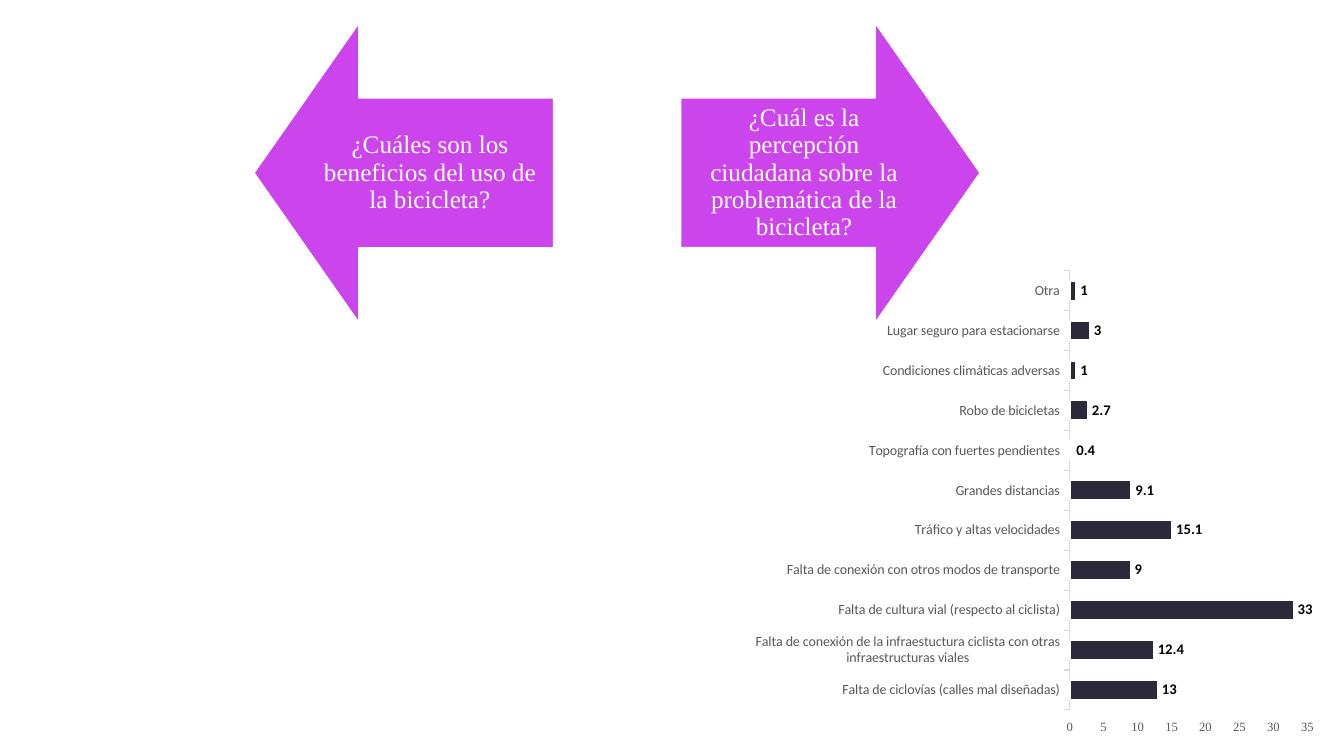
from collections import namedtuple
from dataclasses import dataclass

from lxml import etree
from pptx import Presentation
from pptx import util as u
from pptx.chart import data as chart_data
from pptx.dml import color
from pptx.enum import chart as chart_enum, shapes, text

Box = namedtuple("Box", "left top width height")


@dataclass(frozen=True)
class Theme:
    arrow: str = "CC44EC"
    bar: str = "2B293A"
    paper: str = "FFFFFF"
    ink: str = "000000"
    muted: str = "595959"
    rule: str = "D9D9D9"
    serif: str = "Times New Roman"
    sans: str = "Calibri"
    question_size: float = 18
    chart_size: float = 10
    value_size: float = 9
    label_size: float = 10.5


THEME = Theme()

PROBLEMS = {
    "Falta de ciclovías (calles mal diseñadas)": 13,
    "Falta de conexión de la infraestuctura ciclista con otras infraestructuras viales": 12.4,
    "Falta de cultura vial (respecto al ciclista)": 33,
    "Falta de conexión con otros modos de transporte": 9,
    "Tráfico y altas velocidades": 15.1,
    "Grandes distancias": 9.1,
    "Topografía con fuertes pendientes": 0.4,
    "Robo de bicicletas": 2.7,
    "Condiciones climáticas adversas": 1,
    "Lugar seguro para estacionarse": 3,
    "Otra": 1,
}


def inches(box):
    return [u.Inches(length) for length in box]


def apply(target, values):
    for name, value in values.items():
        setattr(target, name, value)


def set_font(font, name, size, colour, bold=False):
    apply(font, {"name": name, "size": u.Pt(size), "bold": bold})
    font.color.rgb = color.RGBColor.from_string(colour)


def set_fill(fill, colour):
    fill.solid()
    fill.fore_color.rgb = color.RGBColor.from_string(colour)


def set_line(line, colour, width):
    set_fill(line.fill, colour)
    line.width = u.Pt(width)


def add_question_arrow(page, box, question, points_left):
    # Arrow turned towards its side of the slide
    arrow = page.shapes.add_shape(shapes.MSO_SHAPE.UP_ARROW, *inches(box))
    arrow.rotation = 270 if points_left else 90
    arrow.adjustments[0], arrow.adjustments[1] = 0.5, 0.35
    arrow.shadow.inherit = False
    set_fill(arrow.fill, THEME.arrow)
    set_line(arrow.line, THEME.paper, 1)

    # Question over the shaft and half of the head
    width, height = box.width * 0.825, box.height / 2
    left = box.left + (box.width - width if points_left else 0)
    area = Box(left, box.top + box.height / 4, width, height)
    frame = page.shapes.add_textbox(*inches(area)).text_frame
    margin = u.Inches(0.14)
    apply(frame, {
        "word_wrap": True,
        "vertical_anchor": text.MSO_ANCHOR.MIDDLE,
        "margin_left": margin, "margin_right": margin,
        "margin_top": margin, "margin_bottom": margin,
    })
    para = frame.paragraphs[0]
    apply(para, {"alignment": text.PP_ALIGN.CENTER, "line_spacing": 0.9})
    span = para.add_run()
    span.text = question
    set_font(span.font, THEME.serif, THEME.question_size, THEME.paper)


def place_plot(chart, box):
    """Fix the inner plot area, as fractions of the chart."""
    plot_area = chart.plots[0]._element.getparent()
    space = etree.QName(plot_area).namespace
    for old in plot_area.findall(f"{{{space}}}layout"):
        plot_area.remove(old)
    layout = etree.Element(f"{{{space}}}layout")
    manual = etree.SubElement(layout, f"{{{space}}}manualLayout")
    settings = {"layoutTarget": "inner", "xMode": "edge", "yMode": "edge",
                "x": box.left, "y": box.top, "w": box.width, "h": box.height}
    for name, value in settings.items():
        etree.SubElement(manual, f"{{{space}}}{name}").set("val", str(value))
    plot_area.insert(0, layout)


def fill_chart_background(chart):
    draw = "http://schemas.openxmlformats.org/drawingml/2006/main"
    root = chart._chartSpace
    space = etree.QName(root).namespace
    style = etree.Element(f"{{{space}}}spPr")
    solid = etree.SubElement(style, f"{{{draw}}}solidFill")
    etree.SubElement(solid, f"{{{draw}}}srgbClr").set("val", THEME.paper)
    border = etree.SubElement(style, f"{{{draw}}}ln")
    etree.SubElement(border, f"{{{draw}}}noFill")
    root.find(f"{{{space}}}chart").addnext(style)


def add_problem_chart(page, box):
    data = chart_data.CategoryChartData()
    data.categories = list(PROBLEMS)
    data.add_series("Series 1", list(PROBLEMS.values()))
    chart = page.shapes.add_chart(
        chart_enum.XL_CHART_TYPE.BAR_CLUSTERED, *inches(box), data).chart
    apply(chart, {"has_legend": False, "has_title": False})
    set_font(chart.font, THEME.serif, THEME.chart_size, THEME.ink)
    fill_chart_background(chart)
    place_plot(chart, Box(0.56, 0.02, 0.41, 0.91))

    # Bars and their values
    plot = chart.plots[0]
    apply(plot, {"gap_width": 100, "vary_by_categories": False,
                 "has_data_labels": True})
    series = plot.series[0]
    set_fill(series.format.fill, THEME.bar)
    set_line(series.format.line, THEME.paper, 1.5)
    apply(plot.data_labels, {
        "show_value": True,
        "position": chart_enum.XL_LABEL_POSITION.OUTSIDE_END,
    })
    set_font(plot.data_labels.font, THEME.sans, THEME.label_size, THEME.ink, True)

    # Axes
    ticks = chart_enum.XL_TICK_MARK
    names, values = chart.category_axis, chart.value_axis
    apply(names, {"has_major_gridlines": False,
                  "major_tick_mark": ticks.OUTSIDE})
    set_line(names.format.line, THEME.rule, 0.75)
    set_font(names.tick_labels.font, THEME.sans, THEME.chart_size, THEME.muted)
    apply(values, {"has_major_gridlines": False,
                   "major_tick_mark": ticks.OUTSIDE,
                   "minimum_scale": 0, "maximum_scale": 35, "major_unit": 5})
    values.format.line.fill.background()
    set_font(values.tick_labels.font, THEME.serif, THEME.value_size, THEME.muted)


def build_slide(deck):
    page = deck.slides.add_slide(deck.slide_layouts[6])
    set_fill(page.background.fill, THEME.paper)
    add_problem_chart(page, Box(7.39, 2.59, 5.75, 4.79))
    add_question_arrow(page, Box(2.52, 0.23, 2.97, 2.97),
                       "¿Cuáles son los beneficios del uso de la bicicleta?", True)
    add_question_arrow(page, Box(6.75, 0.23, 2.97, 2.97),
                       "¿Cuál es la percepción ciudadana sobre la problemática "
                       "de la bicicleta?", False)


def main():
    deck = Presentation()
    apply(deck, {"slide_width": u.Inches(13.33), "slide_height": u.Inches(7.5)})
    build_slide(deck)
    deck.save("out.pptx")


if __name__ == "__main__":
    main()
